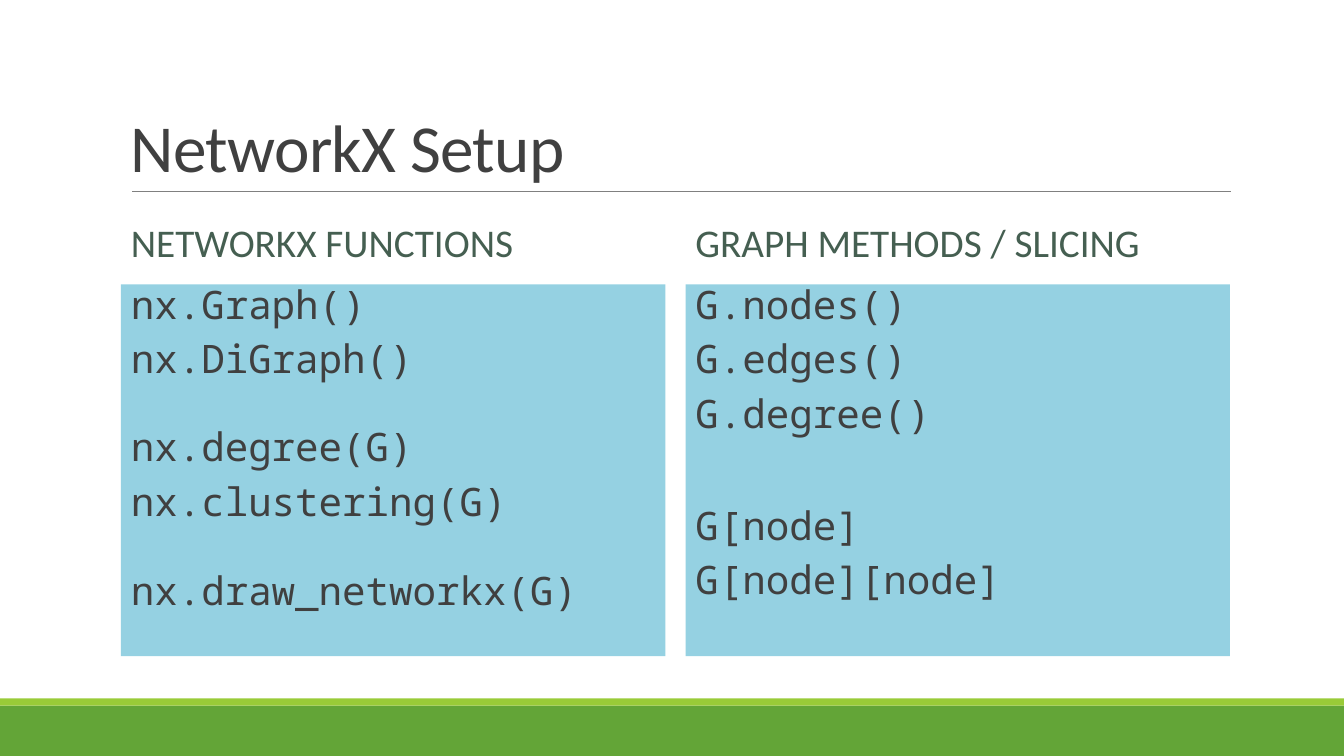
"""Build the NetworkX Setup slide with two panels of code calls."""
from dataclasses import dataclass

from pptx import Presentation
from pptx.dml.color import RGBColor
from pptx.enum.shapes import MSO_CONNECTOR, MSO_SHAPE
from pptx.enum.text import MSO_ANCHOR, PP_ALIGN
from pptx.oxml.ns import qn
from pptx.util import Inches, Pt

TITLE = "NetworkX Setup"
COLUMNS = [
    ("NETWORKX FUNCTIONS", [
        (["nx.Graph()", "nx.DiGraph()"], 0),
        (["nx.degree(G)", "nx.clustering(G)"], 24),
        (["nx.draw_networkx(G)"], 25),
    ]),
    ("GRAPH METHODS / SLICING", [
        (["G.nodes()", "G.edges()", "G.degree()"], 0),
        (["G[node]", "G[node][node]"], 41),
    ]),
]


@dataclass(frozen=True)
class Theme:
    """Colours, fonts and type sizes."""
    footer: str = "63A537"
    stripe: str = "99CB38"
    rule: str = "808080"
    ink: str = "404040"
    heading: str = "455F51"
    panel: str = "95D1E2"
    text_font: str = "Calibri"
    code_font: str = "Noto Sans Mono"
    title_size: int = 48
    body_size: int = 28


THEME = Theme()
LEFT, COLUMN_WIDTH, COLUMN_STEP = 1.2, 5.4, 5.6
LINE_GAP = 12


def add_block(slide, box, color):
    block = slide.shapes.add_shape(MSO_SHAPE.RECTANGLE, *map(Inches, box))
    block.shadow.inherit = False
    block.fill.solid()
    block.fill.fore_color.rgb = RGBColor.from_string(color)
    block.line.fill.background()
    return block


def write(frame, lines, anchor, font, size, color, spacing):
    frame.word_wrap = True
    frame.vertical_anchor = anchor
    for index, (text, before) in enumerate(lines):
        paragraph = frame.paragraphs[0] if index == 0 else frame.add_paragraph()
        paragraph.text = text
        paragraph.alignment = PP_ALIGN.LEFT
        paragraph.line_spacing = spacing
        paragraph.space_before = Pt(before)
        paragraph.font.name = font
        paragraph.font.size = Pt(size)
        paragraph.font.color.rgb = RGBColor.from_string(color)


def add_text(slide, box, text, anchor, size, color, spacing):
    frame = slide.shapes.add_textbox(*map(Inches, box)).text_frame
    write(frame, [(text, 0)], anchor, THEME.text_font, size, color, spacing)
    return frame


def add_rule(slide):
    rule = slide.shapes.add_connector(
        MSO_CONNECTOR.STRAIGHT, Inches(1.31), Inches(1.9), Inches(12.21), Inches(1.9))
    rule.line.color.rgb = RGBColor.from_string(THEME.rule)
    rule.line.width = Pt(0.5)
    properties = rule._element.spPr
    properties.append(properties.makeelement(qn("a:effectLst"), {}))


def add_column(slide, left, heading, groups):
    add_text(slide, (left, 2.02, COLUMN_WIDTH, 0.81), heading,
             MSO_ANCHOR.MIDDLE, THEME.body_size, THEME.heading, 0.9)
    lines = [(call, LINE_GAP + (gap if index == 0 else 0))
             for calls, gap in groups for index, call in enumerate(calls)]
    lines[0] = (lines[0][0], 0)
    frame = add_block(slide, (left, 2.82, COLUMN_WIDTH, 3.69), THEME.panel).text_frame
    frame.margin_right = 0
    write(frame, lines, MSO_ANCHOR.TOP, THEME.code_font, THEME.body_size, THEME.ink, 0.8)


def main():
    deck = Presentation()
    deck.slide_width, deck.slide_height = Inches(13.33), Inches(7.5)
    slide = deck.slides.add_slide(deck.slide_layouts[6])
    add_block(slide, (0, 7, 13.33, 0.5), THEME.footer)
    add_block(slide, (0, 6.93, 13.33, 0.07), THEME.stripe)
    add_rule(slide)
    title = add_text(slide, (LEFT, 0.31, 11, 1.59), TITLE, MSO_ANCHOR.BOTTOM,
                     THEME.title_size, THEME.ink, 0.85)
    title.paragraphs[0].runs[0]._r.get_or_add_rPr().set("spc", "-50")
    for index, (heading, groups) in enumerate(COLUMNS):
        add_column(slide, LEFT + index * COLUMN_STEP, heading, groups)
    deck.save("out.pptx")


if __name__ == "__main__":
    main()
